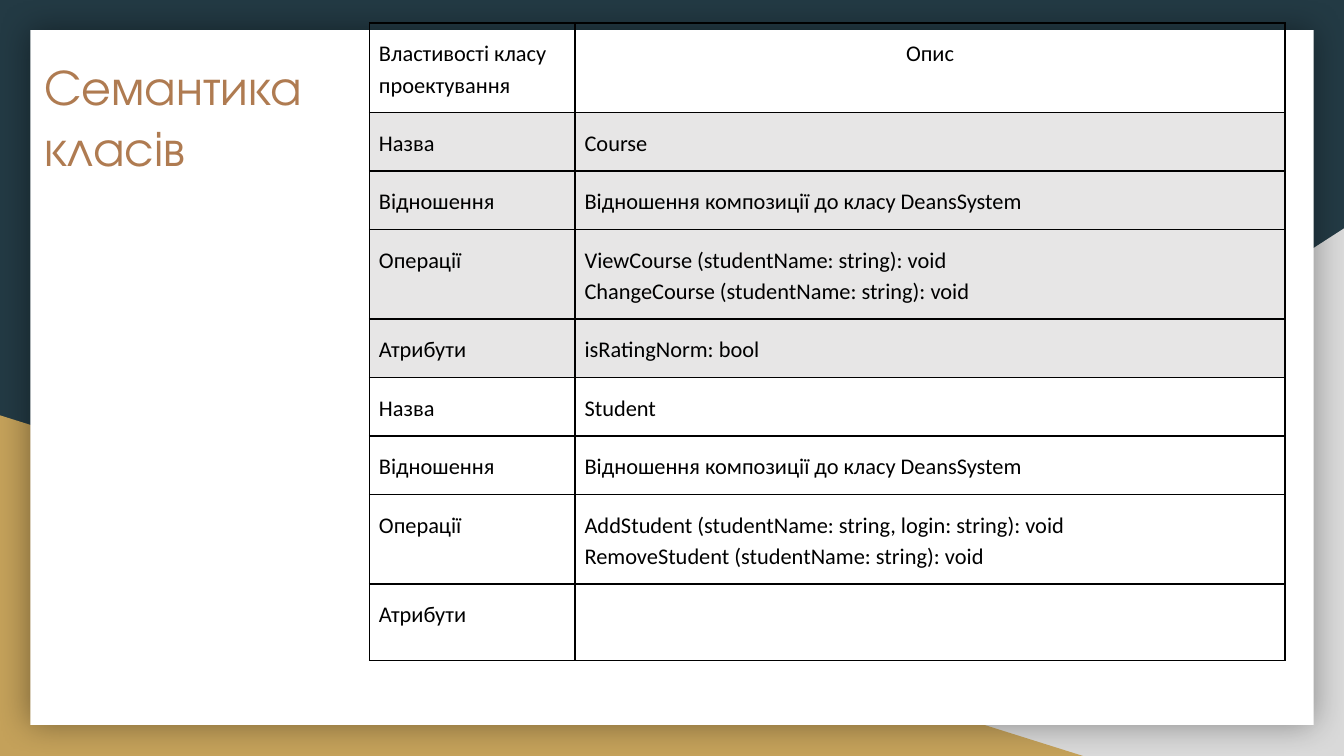
from lxml.etree import SubElement
from pptx import Presentation
from pptx.dml.color import RGBColor
from pptx.enum.shapes import MSO_SHAPE
from pptx.enum.text import MSO_ANCHOR, MSO_AUTO_SIZE, PP_ALIGN
from pptx.oxml import parse_xml
from pptx.oxml.ns import nsdecls, qn
from pptx.util import Pt

EMU_PER_PX = 4572  # 200 px to the inch
ONE_LINE, TWO_LINES, LAST_ROW = 87, 133, 114
COLUMN_WIDTHS = (306, 1056)
GREY = "E7E6E6"

# Property, description, row height, fill
ROWS = [
    ("Властивості класу проектування", "Опис", TWO_LINES, None),
    ("Назва", "Course", ONE_LINE, GREY),
    ("Відношення", "Відношення композиції до класу DeansSystem", ONE_LINE, GREY),
    ("Операції", "ViewCourse (studentName: string): void\n"
                 "ChangeCourse (studentName: string): void", TWO_LINES, GREY),
    ("Атрибути", "isRatingNorm: bool", ONE_LINE, GREY),
    ("Назва", "Student", ONE_LINE, None),
    ("Відношення", "Відношення композиції до класу DeansSystem", ONE_LINE, None),
    ("Операції", "AddStudent (studentName: string, login: string): void\n"
                 "RemoveStudent (studentName: string): void", TWO_LINES, None),
    ("Атрибути", "", LAST_ROW, None),
]


def px(*lengths):
    return [length * EMU_PER_PX for length in lengths]


def paint(fill, color):
    fill.solid()
    fill.fore_color.rgb = RGBColor.from_string(color)


def style_font(font, name, size, color):
    font.name, font.size = name, Pt(size)
    font.color.rgb = RGBColor.from_string(color)


def add_panel(slide, kind, bounds, color, flip=False):
    panel = slide.shapes.add_shape(kind, *px(*bounds))
    panel.shadow.inherit = False
    paint(panel.fill, color)
    panel.line.fill.background()
    if flip:
        panel._element.spPr.find(qn("a:xfrm")).set("flipH", "1")
    return panel


def add_glow_shadow(shape):
    """Give the shape a soft black shadow spread evenly on all sides."""
    effects = shape._element.spPr.find(qn("a:effectLst"))
    effects.append(parse_xml(
        f'<a:outerShdw {nsdecls("a")} blurRad="{Pt(18)}" dist="0" dir="0" algn="ctr" '
        'rotWithShape="0"><a:srgbClr val="000000"><a:alpha val="40000"/></a:srgbClr>'
        '</a:outerShdw>'))


def place_title(slide, text, bounds):
    title = slide.shapes.title
    title.left, title.top, title.width, title.height = px(*bounds)
    frame = title.text_frame
    frame.text = text
    frame.word_wrap = True
    frame.auto_size = MSO_AUTO_SIZE.NONE
    frame.vertical_anchor = MSO_ANCHOR.TOP
    frame.margin_left, frame.margin_top, frame.margin_right, frame.margin_bottom = px(20, 20, 20, 20)
    for para in frame.paragraphs:
        para.alignment = PP_ALIGN.LEFT
        for span in para.runs:
            style_font(span.font, "TeX Gyre Adventor", 27, "AF7B51")
    slide.shapes._spTree.append(title._element)  # in front of the panels


def add_borders(cell):
    properties = cell._tc.get_or_add_tcPr()
    for side in ("a:lnL", "a:lnR", "a:lnT", "a:lnB"):
        line = SubElement(properties, qn(side), w=str(Pt(1)))
        SubElement(SubElement(line, qn("a:solidFill")), qn("a:srgbClr"), val="000000")


def fill_cell(cell, text, color, alignment):
    cell.text_frame.text = text
    cell.margin_left, cell.margin_top, cell.margin_right, cell.margin_bottom = px(14, 20, 14, 20)
    add_borders(cell)
    if color:
        paint(cell.fill, color)
    else:
        cell.fill.background()
    for para in cell.text_frame.paragraphs:
        para.alignment = alignment
        para.line_spacing = 1.15
        style_font(para.font, "Calibri", 12, "000000")
        for span in para.runs:
            style_font(span.font, "Calibri", 12, "000000")


def add_class_table(slide, left, top):
    height = sum(row[2] for row in ROWS)
    bounds = px(left, top, sum(COLUMN_WIDTHS), height)
    table = slide.shapes.add_table(len(ROWS), len(COLUMN_WIDTHS), *bounds).table
    table.first_row = table.horz_banding = False
    for column, width in zip(table.columns, px(*COLUMN_WIDTHS)):
        column.width = width
    for index, (label, description, row_height, color) in enumerate(ROWS):
        table.rows[index].height = px(row_height)[0]
        alignment = PP_ALIGN.CENTER if index == 0 else PP_ALIGN.LEFT
        fill_cell(table.cell(index, 0), label, color, PP_ALIGN.LEFT)
        fill_cell(table.cell(index, 1), description, color, alignment)


def main():
    deck = Presentation()
    deck.slide_width, deck.slide_height = px(2000, 1125)
    slide = deck.slides.add_slide(deck.slide_layouts[5])
    paint(slide.background.fill, "233A44")
    add_panel(slide, MSO_SHAPE.RIGHT_TRIANGLE, (784, 340, 1216, 785), "D9D9D9", flip=True)
    add_panel(slide, MSO_SHAPE.RIGHT_TRIANGLE, (0, 618, 1612, 507), "C4A15A")
    add_glow_shadow(add_panel(slide, MSO_SHAPE.RECTANGLE, (45, 45, 1910, 1034), "FFFFFF"))
    place_title(slide, "Семантика\nкласів", (46, 62, 1642, 208))
    add_class_table(slide, 550, 34)
    deck.save("out.pptx")


if __name__ == "__main__":
    main()
